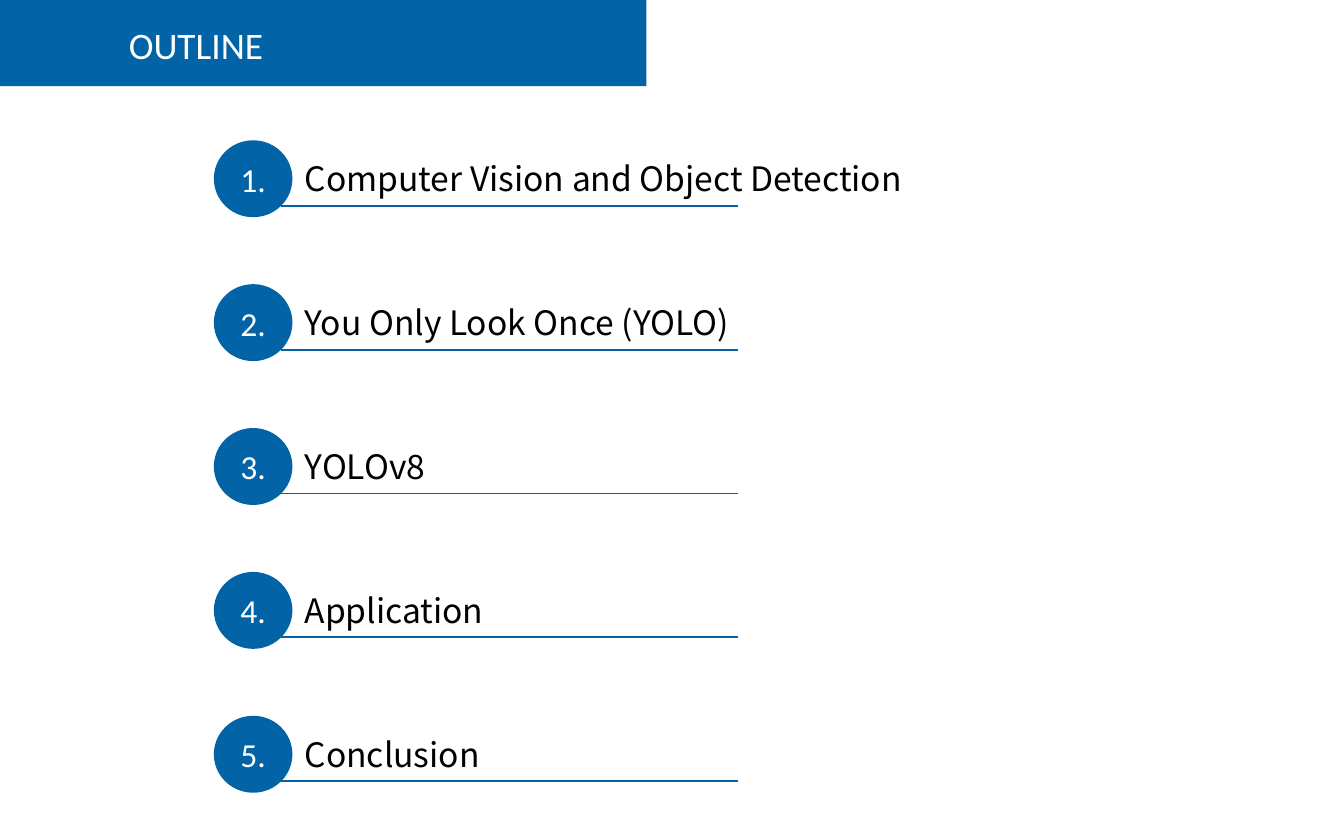
from dataclasses import dataclass

from lxml.etree import SubElement
from pptx import Presentation
from pptx.dml.color import RGBColor
from pptx.enum.shapes import MSO_CONNECTOR as Connector, MSO_SHAPE as Shape
from pptx.enum.text import MSO_ANCHOR as Anchor, MSO_AUTO_SIZE as AutoSize, PP_ALIGN as Align
from pptx.oxml.ns import qn
from pptx.shapes.shapetree import GroupShapes, SlideShapes
from pptx.slide import Slide
from pptx.text.text import TextFrame
from pptx.util import Cm, Pt


@dataclass(frozen=True)
class Theme:
    blue: RGBColor = RGBColor(0x02, 0x64, 0xA6)
    white: RGBColor = RGBColor(0xFF, 0xFF, 0xFF)
    black: RGBColor = RGBColor(0, 0, 0)
    label_font: str = "Calibri"
    topic_font: str = "Noto Sans CJK KR"
    title_size: Pt = Pt(20)
    body_size: Pt = Pt(18)
    line_width: Pt = Pt(1)


@dataclass(frozen=True)
class Topic:
    text: str
    width: float = 9.83


THEME = Theme()
TOPICS = [
    Topic("Computer Vision and Object Detection", width=12.37),
    Topic("You Only Look Once (YOLO)"),
    Topic("YOLOv8"),
    Topic("Application"),
    Topic("Conclusion"),
]
FIRST_TOP = 2.67
ROW_PITCH = 2.72


def write_text(frame: TextFrame, text: str, *, font: str, size: Pt, color: RGBColor,
               align: Align = Align.LEFT, anchor: Anchor = Anchor.TOP) -> None:
    frame.word_wrap = True
    frame.auto_size = AutoSize.NONE
    frame.vertical_anchor = anchor
    para = frame.paragraphs[0]
    para.alignment = align
    span = para.add_run()
    span.text = text
    span.font.name = font
    span.font.size = size
    span.font.color.rgb = color


def add_banner(shapes: SlideShapes) -> None:
    """Draw the title band and send it behind every other shape."""
    banner = shapes.add_shape(Shape.RECTANGLE, 0, 0, Cm(12.22), Cm(1.63))
    banner.shadow.inherit = False
    banner.fill.solid()
    banner.fill.fore_color.rgb = THEME.blue
    banner.line.fill.background()
    shapes._spTree.insert(2, banner._element)


def set_title(slide: Slide, text: str) -> None:
    title = slide.shapes.title
    title.left, title.top, title.width, title.height = Cm(2.18), Cm(0.3), Cm(8.31), Cm(1.12)
    write_text(title.text_frame, text, font=THEME.label_font,
               size=THEME.title_size, color=THEME.white)


def add_badge(shapes: GroupShapes, number: int, top: float) -> None:
    badge = shapes.add_shape(Shape.OVAL, Cm(4.06), Cm(top), Cm(1.45), Cm(1.42))
    badge.shadow.inherit = False
    badge.fill.solid()
    badge.fill.fore_color.rgb = THEME.blue
    badge.line.color.rgb = THEME.blue
    badge.line.width = THEME.line_width
    write_text(badge.text_frame, f"{number}.", font=THEME.label_font, size=THEME.body_size,
               color=THEME.white, align=Align.CENTER, anchor=Anchor.MIDDLE)


def add_underline(shapes: GroupShapes, y: float) -> None:
    line = shapes.add_connector(Connector.STRAIGHT, Cm(5.31), Cm(y), Cm(13.94), Cm(y))
    line.line.color.rgb = THEME.blue
    line.line.width = THEME.line_width
    SubElement(line._element.spPr, qn("a:effectLst"))


def add_topic(slide: Slide, number: int, topic: Topic) -> None:
    top = FIRST_TOP + (number - 1) * ROW_PITCH
    shapes = slide.shapes.add_group_shape().shapes
    add_badge(shapes, number, top)
    add_underline(shapes, top + 1.22)
    box = shapes.add_textbox(Cm(5.51), Cm(top + 0.2), Cm(topic.width), Cm(1.02))
    write_text(box.text_frame, topic.text, font=THEME.topic_font,
               size=THEME.body_size, color=THEME.black)


def main() -> None:
    deck = Presentation()
    deck.slide_width, deck.slide_height = Cm(25.4), Cm(15.88)
    page = deck.slides.add_slide(deck.slide_layouts[5])
    add_banner(page.shapes)
    set_title(page, "OUTLINE")
    for number, topic in enumerate(TOPICS, start=1):
        add_topic(page, number, topic)
    deck.save("out.pptx")


if __name__ == "__main__":
    main()
